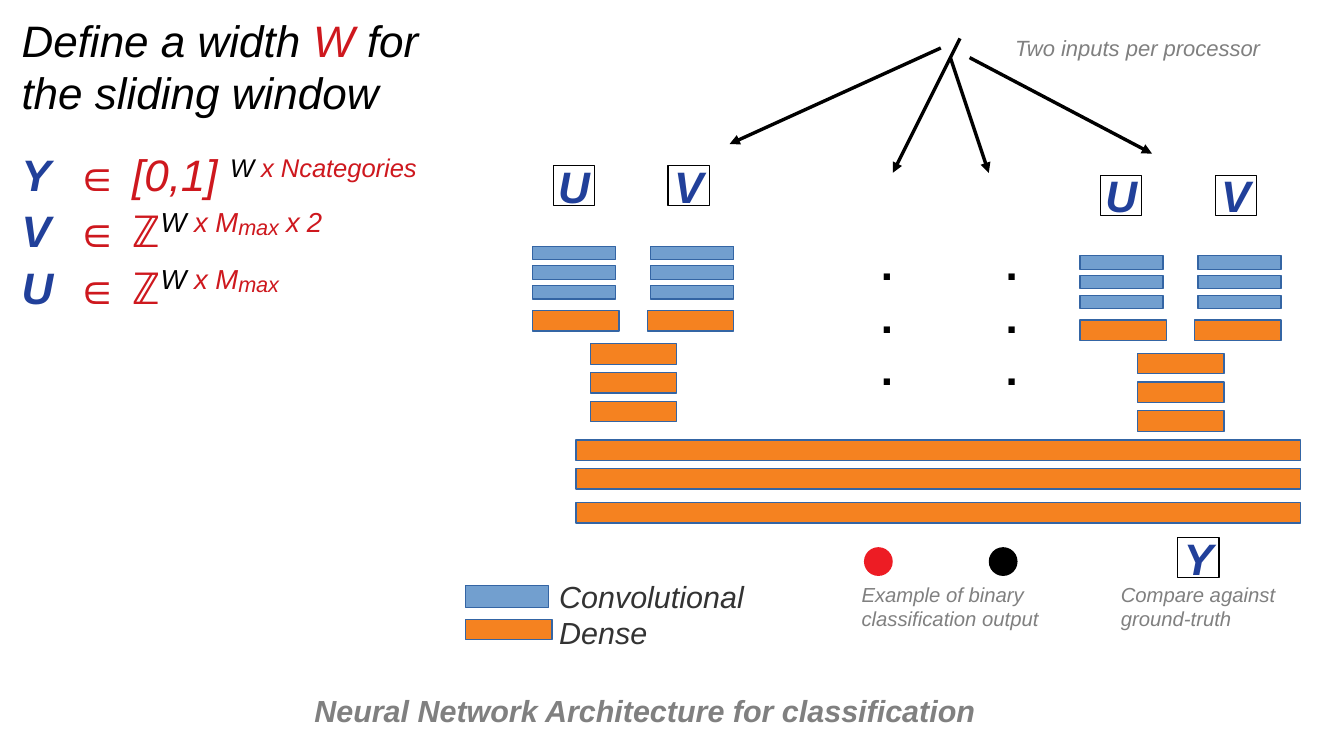
from lxml import etree
from pptx import Presentation
from pptx.dml.color import RGBColor
from pptx.enum.shapes import MSO_CONNECTOR, MSO_SHAPE
from pptx.enum.text import MSO_ANCHOR, PP_ALIGN
from pptx.oxml.ns import qn
from pptx.util import Cm, Pt

RECTANGLE, OVAL = MSO_SHAPE.RECTANGLE, MSO_SHAPE.OVAL
STRAIGHT = MSO_CONNECTOR.STRAIGHT
MIDDLE, CENTER = MSO_ANCHOR.MIDDLE, PP_ALIGN.CENTER

COLORS = {
    "black": "000000", "white": "FFFFFF", "gray": "808080", "charcoal": "333333",
    "crimson": "CE181E", "navy": "21409A", "conv": "729FCF", "dense": "F58220",
    "edge": "3465A4", "red": "ED1C24",
}


def add_block(left, top, width, height, fill, line=None, kind=RECTANGLE):
    block = page.shapes.add_shape(kind, Cm(left), Cm(top), Cm(width), Cm(height))
    block.shadow.inherit = False
    block.fill.solid()
    block.fill.fore_color.rgb = RGBColor.from_string(COLORS[fill])
    if line:
        block.line.color.rgb = RGBColor.from_string(COLORS[line])
        block.line.width = Pt(0)
    else:
        block.line.fill.background()
    return block


def write(frame, paragraphs):
    """Fill a frame with paragraphs, each a list of (text, colour, size, format)."""
    for index, spans in enumerate(paragraphs):
        para = frame.paragraphs[0] if index == 0 else frame.add_paragraph()
        for text, color, size, values in spans:
            span = para.add_run()
            span.text = text
            span.font.name = "Arial"
            span.font.size = Pt(size)
            span.font.color.rgb = RGBColor.from_string(COLORS[color])
            for name, value in values.items():
                setattr(span.font, name, value)


deck = Presentation()
deck.slide_width, deck.slide_height = Cm(28), Cm(15.75)
page = deck.slides.add_slide(deck.slide_layouts[6])

ITALIC = {"italic": True}
BOLD = {"bold": True}
BOLD_ITALIC = {"bold": True, "italic": True}

# Text boxes: left, top, width, height, paragraphs
dots = [[(".", "black", 26, BOLD)]] * 3
notes = [
    (11.4, 11.91, 5.8, 1.68, [[("Convolutional", "charcoal", 18, ITALIC)],
                              [("Dense", "charcoal", 18, ITALIC)]]),
    (18.1, 4.8, 1.2, 3.33, dots),
    (20.7, 4.8, 1.2, 3.33, dots),
    (20.9, 0.6, 6, 0.76, [[("Two inputs per processor", "gray", 13, ITALIC)]]),
    (6.3, 14.3, 21.5, 1.2, [[("Neural Network Architecture for classification",
                             "gray", 18, BOLD_ITALIC)]]),
    (17.7, 12, 4.6, 1.2, [[("Example of binary classification output",
                            "gray", 12, ITALIC)]]),
    (23.1, 12, 4.6, 1.2, [[("Compare against ground-truth", "gray", 12, ITALIC)]]),
]

definitions = [[("Define a width ", "black", 26, ITALIC), ("W", "crimson", 26, ITALIC),
                (" for the sliding window", "black", 26, ITALIC)]]
symbols = [
    ("Y", "\t∈ [0,1] ", [("W", "black", 26), (" x Ncategories", "crimson", 26)]),
    ("V", "\t∈ ℤ", [("W", "black", 28), (" x M", "crimson", 28), ("max", "crimson", 22),
                    (" ", "crimson", 26), ("x", "crimson", 28),
                    (" ", "crimson", 26), ("2", "crimson", 28)]),
    ("U", "\t∈ ℤ", [("W", "black", 28), (" x M", "crimson", 28), ("max", "crimson", 22)]),
]
for letter, domain, exponent in symbols:
    definitions.append([(letter, "navy", 26, BOLD_ITALIC), (domain, "crimson", 26, ITALIC)]
                       + [(*part, ITALIC) for part in exponent])
notes.append((0.2, 0.15, 10.2, 7.85, definitions))

for left, top, width, height, paragraphs in notes:
    box = page.shapes.add_textbox(Cm(left), Cm(top), Cm(width), Cm(height))
    box.text_frame.word_wrap = True
    write(box.text_frame, paragraphs)

# Tab stop aligns the set memberships; exponents are raised
heading, *formulas = box.text_frame.paragraphs
formulas[0].space_before = Pt(17)
for para in formulas:
    tabs = etree.SubElement(para._p.get_or_add_pPr(), qn("a:tabLst"))
    etree.SubElement(tabs, qn("a:tab"), pos=str(Cm(1.13)), algn="l")
    for span in para.runs[2:]:
        span._r.get_or_add_rPr().set("baseline", "33000")

# Two processor branches
letters = [(24.54, 11.2, "Y")]
for left, top in ((11.1, 3.45), (22.5, 3.65)):
    letters += [(left + 0.43, top, "U"), (left + 2.82, top, "V")]
    for row in range(3):
        for shift in (0, 2.46):
            add_block(left + shift, top + 1.68 + 0.41 * row, 1.73, 0.28, "conv", "edge")
        add_block(left + 1.2, top + 3.71 + 0.6 * row, 1.8, 0.43, "dense", "edge")
    for shift in (0, 2.39):
        add_block(left + shift, top + 3.02, 1.8, 0.43, "dense", "edge")

for left, top, letter in letters:
    tile = add_block(left, top, 0.86, 0.84, "white", "black")
    tile.text_frame.word_wrap = False
    tile.text_frame.vertical_anchor = MIDDLE
    write(tile.text_frame, [[(letter, "navy", 26, BOLD_ITALIC)]])
    tile.text_frame.paragraphs[0].alignment = CENTER

# Shared dense layers, outputs and legend
for top in (9.17, 9.76, 10.47):
    add_block(12, top, 15.09, 0.43, "dense", "edge")
for left, color in ((18, "red"), (20.6, "black")):
    add_block(left, 11.4, 0.6, 0.6, color, kind=OVAL)
add_block(9.7, 12.2, 1.73, 0.46, "conv", "edge")
add_block(9.7, 12.9, 1.8, 0.43, "dense", "edge")

# Arrows from the input to the processors
for start_x, start_y, end_x, end_y in (
    (19.6, 1, 15.2, 3), (20, 0.8, 18.6, 3.6), (19.8, 1.2, 20.6, 3.6), (20.2, 1.2, 24, 3.2),
):
    arrow = page.shapes.add_connector(STRAIGHT, Cm(start_x), Cm(start_y), Cm(end_x), Cm(end_y))
    arrow.line.color.rgb = RGBColor.from_string(COLORS["black"])
    arrow.line.width = Pt(0)
    etree.SubElement(arrow.line._get_or_add_ln(), qn("a:tailEnd"), type="triangle")
    etree.SubElement(arrow._element.spPr, qn("a:effectLst"))

deck.save("out.pptx")
